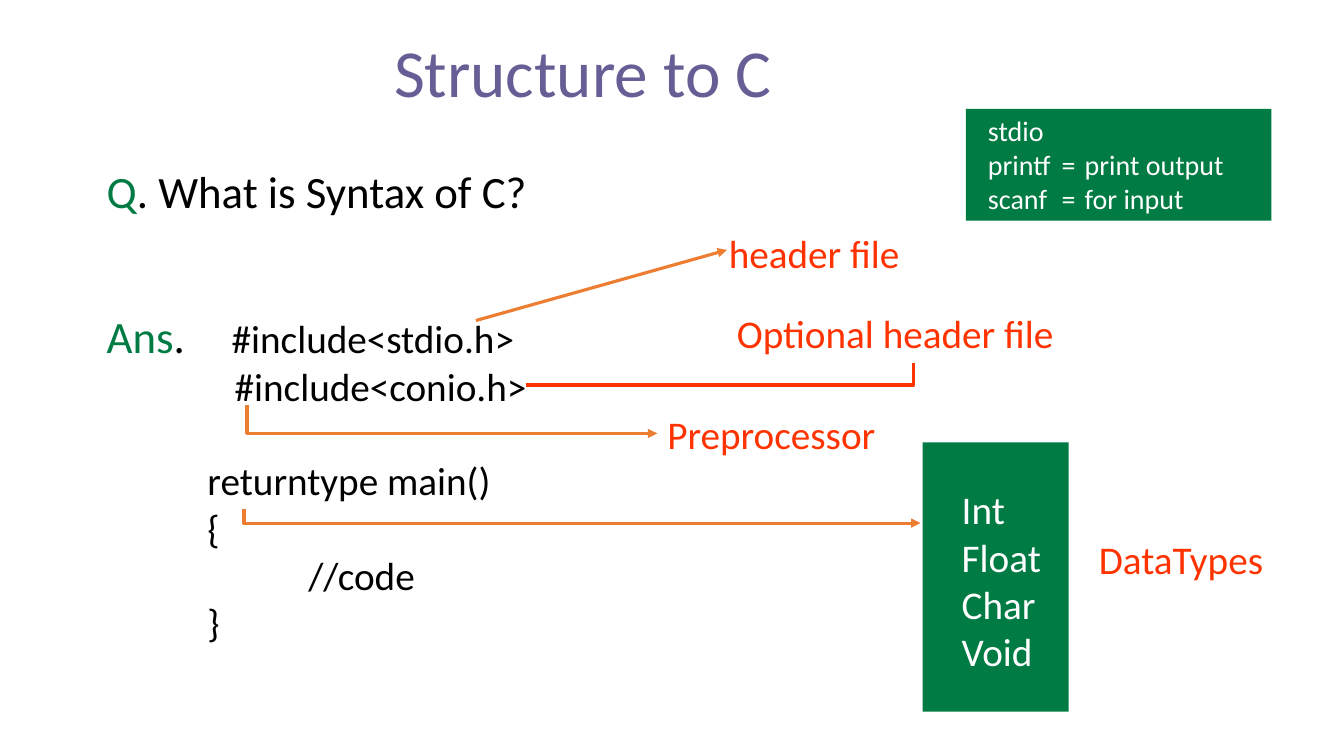
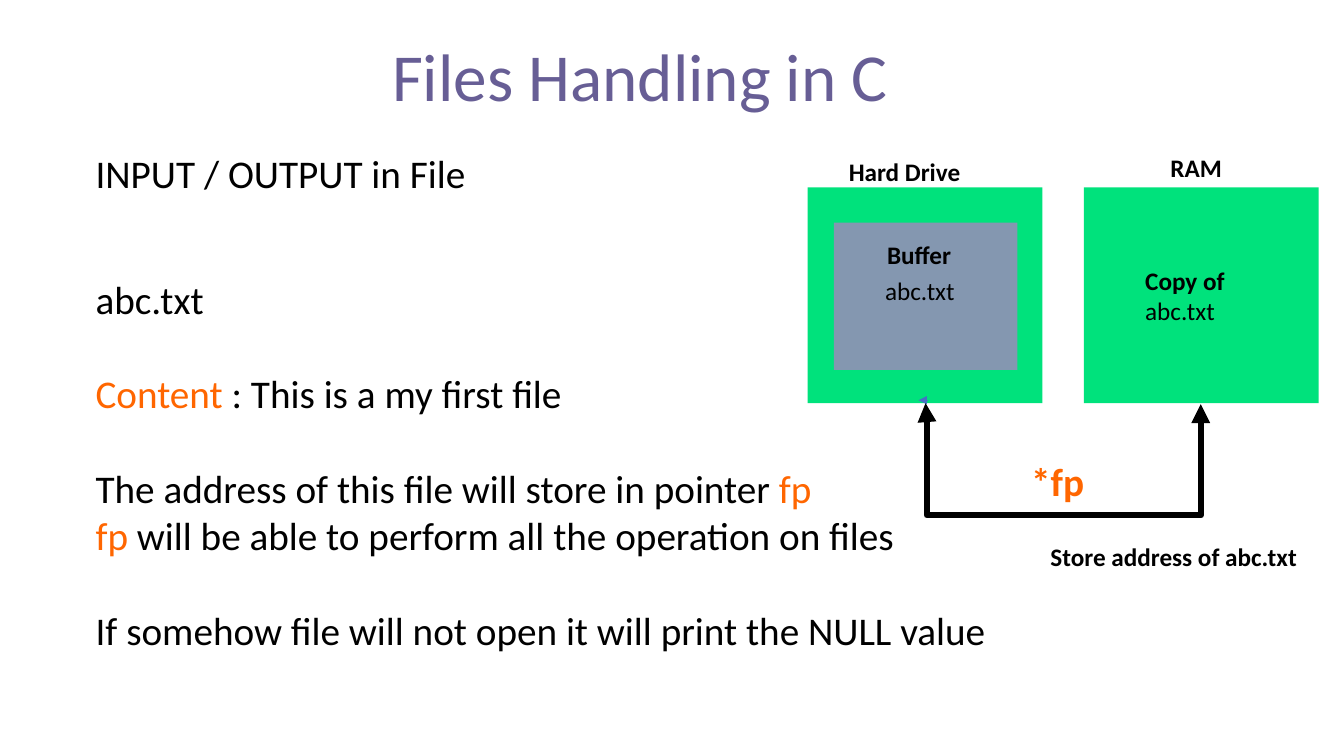
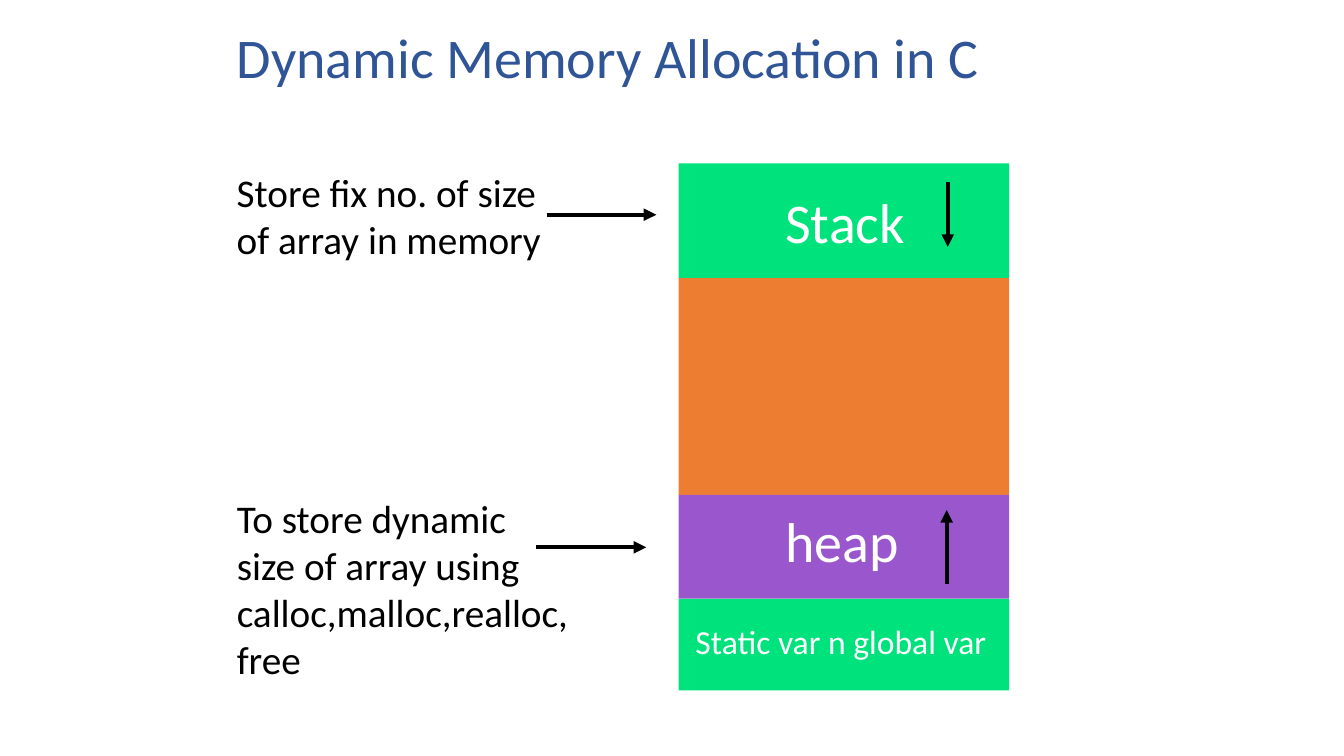
from dataclasses import dataclass

from lxml import etree
from pptx import Presentation
from pptx.dml.color import RGBColor
from pptx.enum.shapes import MSO_CONNECTOR, MSO_SHAPE
from pptx.oxml.ns import qn
from pptx.util import Inches, Pt

RECT = MSO_SHAPE.RECTANGLE
STRAIGHT = MSO_CONNECTOR.STRAIGHT
ELBOW = MSO_CONNECTOR.ELBOW

FONT = "Calibri"
BLACK = RGBColor(0x00, 0x00, 0x00)
WHITE = RGBColor(0xFF, 0xFF, 0xFF)
PURPLE = RGBColor(0x67, 0x5E, 0x95)
NAVY = RGBColor(0x2F, 0x55, 0x97)
GREEN = RGBColor(0x00, 0x7B, 0x44)
MINT = RGBColor(0x00, 0xE2, 0x7C)
RED = RGBColor(0xFF, 0x33, 0x00)
AMBER = RGBColor(0xFF, 0x66, 0x00)
ORANGE = RGBColor(0xED, 0x7D, 0x31)
SLATE = RGBColor(0x84, 0x97, 0xB0)
VIOLET = RGBColor(0x9A, 0x57, 0xCD)
BLUE = RGBColor(0x44, 0x72, 0xC4)


@dataclass
class Style:
    size: int
    color: RGBColor = BLACK
    bold: bool = False


@dataclass
class Para:
    """Runs are (text, style); gap is in points, indent and tabs in inches."""
    runs: list
    gap: int = 0
    indent: float = 0
    tabs: tuple = ()


@dataclass
class Line:
    ends: tuple
    color: RGBColor = BLACK
    width: float = 3
    head: bool = False
    tail: bool = False
    bend: str = ""
    adjust: tuple = ()


TITLE = Style(48, PURPLE)
BODY = Style(28)
MARK = Style(28, RED)
KEY = Style(28, AMBER)
LIGHT = Style(28, WHITE)
SMALL = Style(18)
LABEL = Style(18, bold=True)
HINT = Style(20, WHITE)
ASK = Style(32)
LEAD = Style(32, GREEN)
BIG = Style(40, WHITE)

ROW = 34  # height of one body line, in points
HINT_TABS = (0.73, 0.96)

STACK_X, STACK_Y, STACK_W = 6.73, 1.62, 3.28
BANDS = [(1.14, MINT), (2.15, ORANGE), (1.03, VIOLET), (0.91, MINT)]


def stack():
    """Memory bands placed one below the other."""
    top, rects = STACK_Y, []
    for high, color in BANDS:
        rects.append((STACK_X, top, STACK_W, high, color))
        top += high
    return rects


def plain(style, *texts):
    return [Para([(text, style)]) for text in texts]


# Rects: left, top, width, height, fill. Texts: left, top, width, height, paragraphs.
SYNTAX = {
    "rects": [(9.15, 4.39, 1.45, 2.67, GREEN), (9.58, 1.08, 3.03, 1.11, GREEN)],
    "lines": [
        Line((4.72, 3.18, 7.21, 2.48), ORANGE, 2.25, tail=True),
        Line((6.52, 4.3, 2.45, 4.02), ORANGE, 2.25, head=True, bend="bentConnector2"),
        Line((9.13, 5.19, 2.42, 5.05), ORANGE, 2.25, head=True, bend="bentConnector2"),
        Line((5.22, 3.82, 9.06, 3.6), RED, 2.25, bend="bentConnector2"),
    ],
    "texts": [
        (3.81, 0.25, 6.8, 0.91, plain(TITLE, "Structure to C")),
        (0.96, 1.58, 5.41, 0.64, [Para([("Q", LEAD), (". What is Syntax of C?", ASK)])]),
        (0.96, 3.01, 4.7, 3.47, [
            Para([("Ans", LEAD), (".", ASK), ("\t#include<stdio.h>", BODY)], tabs=(1.24,)),
            Para([("#include<conio.h>", BODY)], indent=1.27),
            Para([("returntype main()", BODY)], gap=ROW, indent=1),
            Para([("{", BODY)], indent=1),
            Para([("//code", BODY)], indent=2),
            Para([("}", BODY)], indent=1),
        ]),
        (7.13, 2.23, 2.2, 0.57, plain(MARK, "header file")),
        (6.52, 4.02, 2.42, 0.57, plain(MARK, "Preprocessor")),
        (10.8, 5.26, 2.29, 0.57, plain(MARK, "DataTypes")),
        (7.21, 3.02, 3.68, 0.57, plain(MARK, "Optional header file")),
        (9.44, 4.77, 1.52, 2.46, plain(LIGHT, "Int", "Float", "Char", "Void")),
        (9.7, 1.08, 2.79, 1.11, [
            Para([("stdio", HINT)]),
            Para([("printf\t=\tprint output", HINT)], tabs=HINT_TABS),
            Para([("scanf\t=\tfor input", HINT)], tabs=HINT_TABS),
        ]),
    ],
}

FILES = {
    "rects": [
        (8.01, 1.86, 2.33, 2.14, MINT),
        (10.75, 1.86, 2.33, 2.14, MINT),
        (8.27, 2.21, 1.82, 1.46, SLATE),
    ],
    "lines": [
        Line((9.2, 3.97, 9.11, 3.97), BLUE, 0.5, tail=True),
        Line((9.18, 4, 11.91, 4.01), BLACK, 4.5, head=True, tail=True,
             bend="bentConnector4", adjust=(0.005, 113)),
    ],
    "texts": [
        (3.79, 0.29, 5.9, 0.91, plain(TITLE, "Files Handling in C")),
        (0.85, 1.43, 4.1, 0.57, plain(BODY, "INPUT / OUTPUT in File")),
        (0.85, 2.68, 9.73, 3.87, [
            Para([("abc.txt", BODY)]),
            Para([("Content", KEY), (" : This is a my first file", BODY)], gap=ROW),
            Para([("The address of this file will store in pointer ", BODY), ("fp", KEY)],
                 gap=ROW),
            Para([("fp", KEY), (" will be able to perform all the operation on files", BODY)]),
            Para([("If somehow file will not open it will print the NULL value", BODY)],
                 gap=ROW),
        ]),
        (8.32, 1.5, 1.57, 0.4, plain(LABEL, "Hard Drive")),
        (11.26, 2.58, 1.23, 0.71, plain(LABEL, "Copy of") + plain(SMALL, "abc.txt")),
        (11.51, 1.46, 1.57, 0.4, plain(LABEL, "RAM")),
        (10.13, 4.49, 0.83, 0.57, plain(Style(28, AMBER, True), "*fp")),
        (8.68, 2.68, 1.23, 0.4, plain(SMALL, "abc.txt")),
        (8.7, 2.33, 1.06, 0.4, plain(LABEL, "Buffer")),
        (10.32, 5.32, 2.92, 0.4, plain(LABEL, "Store address of abc.txt")),
    ],
}

MEMORY = {
    "rects": stack(),
    "lines": [
        Line((9.4, 1.81, 9.4, 2.45), tail=True),
        Line((9.39, 5.79, 9.39, 5.06), tail=True),
        Line((5.43, 2.13, 6.51, 2.13), tail=True),
        Line((5.32, 5.43, 6.41, 5.43), tail=True),
    ],
    "texts": [
        (2.25, 0.17, 9.66, 0.77, plain(Style(40, NAVY), "Dynamic Memory Allocation in C")),
        (7.69, 1.81, 1.71, 0.77, plain(BIG, "Stack")),
        (6.8, 6.11, 3.13, 0.5, plain(Style(24, WHITE), "Static var n global var")),
        (7.69, 4.98, 1.71, 0.77, plain(BIG, "heap")),
        (2.25, 1.62, 3.3, 1.04, plain(BODY, "Store fix no. of size of array in memory")),
        (2.25, 4.85, 3.52, 1.99, plain(
            BODY, "To store dynamic size of array using calloc,malloc,realloc,free")),
    ],
}


def add_rect(slide, x, y, w, h, color):
    rect = slide.shapes.add_shape(RECT, Inches(x), Inches(y), Inches(w), Inches(h))
    rect.shadow.inherit = False
    rect.fill.solid()
    rect.fill.fore_color.rgb = color
    rect.line.fill.background()


def add_line(slide, line):
    kind = ELBOW if line.bend else STRAIGHT
    wire = slide.shapes.add_connector(kind, *map(Inches, line.ends))
    wire.line.color.rgb = line.color
    wire.line.width = Pt(line.width)
    props = wire._element.spPr
    for on, tag in ((line.head, "a:headEnd"), (line.tail, "a:tailEnd")):
        if on:
            etree.SubElement(props.find(qn("a:ln")), qn(tag), type="triangle")
    etree.SubElement(props, qn("a:effectLst"))
    if line.bend:
        geom = props.find(qn("a:prstGeom"))
        geom.set("prst", line.bend)
        for num, part in enumerate(line.adjust, 1):
            etree.SubElement(geom.find(qn("a:avLst")), qn("a:gd"),
                             name=f"adj{num}", fmla=f"val {round(part * 100000)}")


def add_text(slide, x, y, w, h, paras):
    box = slide.shapes.add_textbox(Inches(x), Inches(y), Inches(w), Inches(h))
    frame = box.text_frame
    frame.word_wrap = True
    for num, para in enumerate(paras):
        item = frame.add_paragraph() if num else frame.paragraphs[0]
        if para.gap:
            item.space_before = Pt(para.gap)
        props = item._p.get_or_add_pPr()
        if para.indent:
            props.set("marL", str(Inches(para.indent)))
            props.set("indent", "0")
        if para.tabs:
            stops = etree.SubElement(props, qn("a:tabLst"))
            for stop in para.tabs:
                etree.SubElement(stops, qn("a:tab"), pos=str(Inches(stop)), algn="l")
        for text, style in para.runs:
            run = item.add_run()
            run.text = text
            run.font.name = FONT
            run.font.size = Pt(style.size)
            run.font.bold = style.bold
            run.font.color.rgb = style.color


def main():
    deck = Presentation()
    deck.slide_width, deck.slide_height = Inches(13.33), Inches(7.5)
    for page in (SYNTAX, FILES, MEMORY):
        slide = deck.slides.add_slide(deck.slide_layouts[6])
        for rect in page["rects"]:
            add_rect(slide, *rect)
        for line in page["lines"]:
            add_line(slide, line)
        for text in page["texts"]:
            add_text(slide, *text)
    deck.save("out.pptx")


if __name__ == "__main__":
    main()
